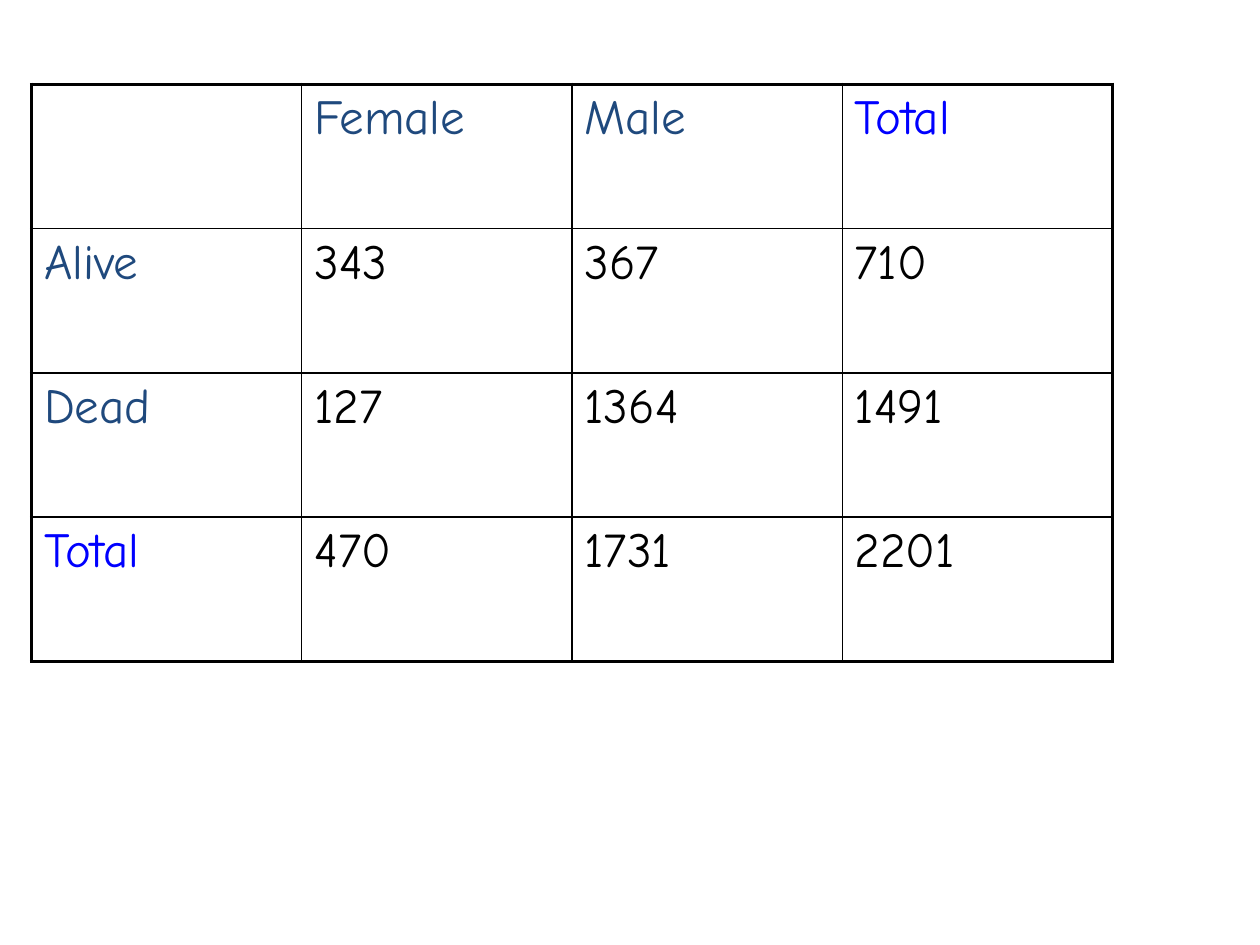
from lxml import etree
from pptx import Presentation
from pptx import util as u
from pptx.dml.color import RGBColor
from pptx.oxml import ns

BLACK = RGBColor(0x00, 0x00, 0x00)
NAVY = RGBColor(0x1F, 0x49, 0x7D)
BLUE = RGBColor(0x00, 0x00, 0xFF)
FONT = "Comic Neue"
THIN, THICK = u.Pt(1), u.Pt(2.25)

SURVIVAL = [
    ["", "Female", "Male", "Total"],
    ["Alive", "343", "367", "710"],
    ["Dead", "127", "1364", "1491"],
    ["Total", "470", "1731", "2201"],
]


def set_borders(cell, widths):
    """Draw black cell borders; widths maps a side (L, R, T, B) to a width."""
    tc_pr = cell._tc.get_or_add_tcPr()
    for side, width in widths.items():
        ln = etree.SubElement(tc_pr, ns.qn(f"a:ln{side}"), w=str(width))
        fill = etree.SubElement(ln, ns.qn("a:solidFill"))
        etree.SubElement(fill, ns.qn("a:srgbClr"), val=str(BLACK))


def text_color(text):
    if text == "Total":
        return BLUE
    return BLACK if text.isdigit() else NAVY


def add_survival_table(s, left, top, width, height, data):
    rows, cols = len(data), len(data[0])
    table = s.shapes.add_table(rows, cols, left, top, width, height).table
    table.first_row = table.horz_banding = False

    for i, row in enumerate(data):
        for j, text in enumerate(row):
            cell = table.cell(i, j)
            # Thick outer frame, thin inner grid
            set_borders(cell, {
                "L": THICK if j == 0 else THIN,
                "R": THICK if j == cols - 1 else THIN,
                "T": THICK if i == 0 else THIN,
                "B": THICK if i == rows - 1 else THIN,
            })
            cell.fill.background()

            # Cell text
            p = cell.text_frame.paragraphs[0]
            p.text = text
            p.space_before = u.Pt(5.6)
            p.font.name = FONT
            p.font.size = u.Pt(28)
            p.font.bold = False
            p.font.color.rgb = text_color(text)


prs = Presentation()
prs.slide_width, prs.slide_height = u.Inches(10), u.Inches(7.5)
s = prs.slides.add_slide(prs.slide_layouts[6])
add_survival_table(s, u.Inches(0.25), u.Inches(0.67),
                   u.Inches(8.58), u.Inches(4.58), SURVIVAL)
prs.save("out.pptx")
